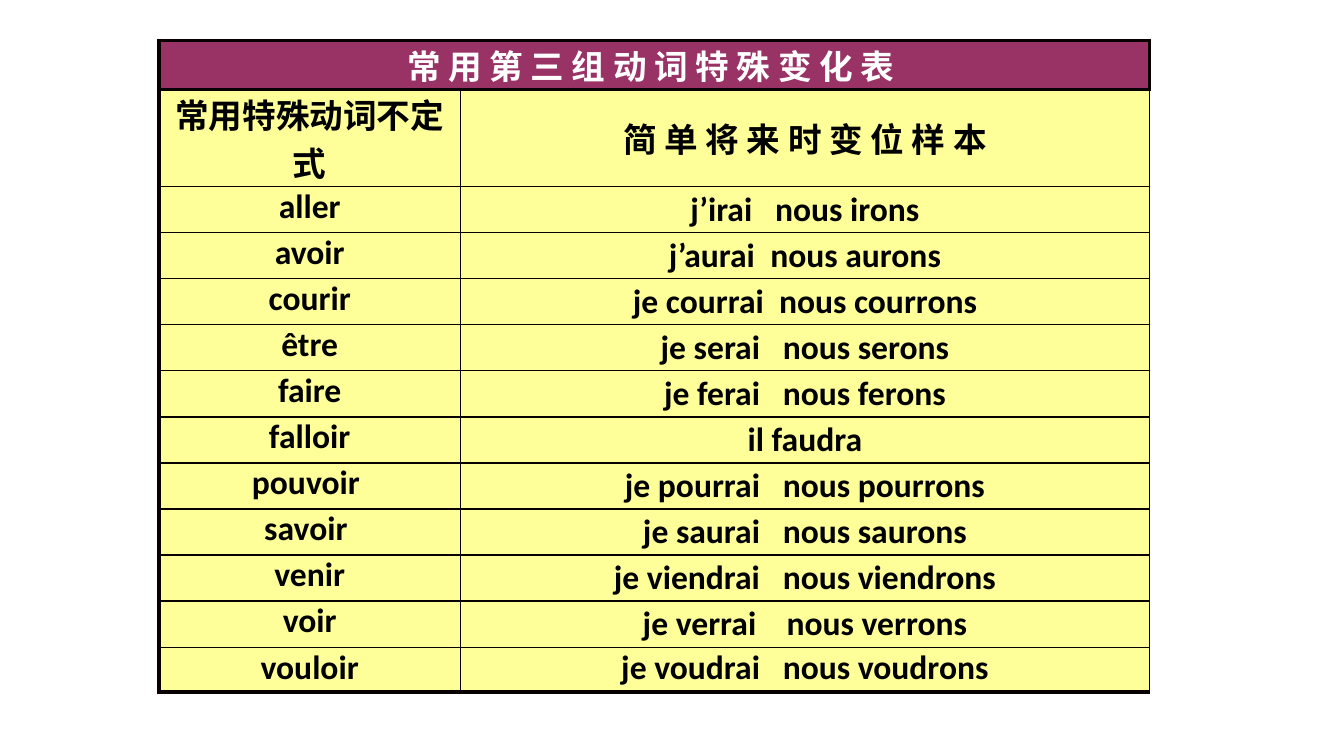
"""Build a slide with a table of irregular French future-tense verbs."""
from dataclasses import dataclass

from lxml.etree import SubElement
from pptx import Presentation
from pptx.dml.color import RGBColor
from pptx.enum.text import MSO_ANCHOR, PP_ALIGN
from pptx.oxml.ns import qn
from pptx.table import _Cell
from pptx.util import Cm, Pt

LATIN, CHINESE = "Calibri", "Noto Sans CJK SC"
PLUM, CREAM, WHITE, BLACK, EDGE = "993366", "FFFF99", "FFFFFF", "000000", "080000"
THICK, MEDIUM, THIN, HAIR = 3, 2.25, 1, 0.75
SPACE_WIDTH = 5.4


@dataclass(frozen=True)
class Verb:
    infinitive: str
    singular: str
    plural: str = ""
    spaces: int = 3


@dataclass(frozen=True)
class Border:
    left: float = THIN
    right: float = THIN
    top: float = THIN
    bottom: float = THIN
    right_color: str = EDGE


@dataclass(frozen=True)
class Look:
    border: Border
    font: str = LATIN
    ink: str = BLACK
    fill: str = CREAM
    anchor: MSO_ANCHOR = MSO_ANCHOR.TOP


VERBS = [
    Verb("aller", "j’irai", "nous irons"),
    Verb("avoir", "j’aurai", "nous aurons", 2),
    Verb("courir", "je courrai", "nous courrons", 2),
    Verb("être", "je serai", "nous serons"),
    Verb("faire", "je ferai", "nous ferons"),
    Verb("falloir", "il faudra"),
    Verb("pouvoir ", "je pourrai", "nous pourrons"),
    Verb("savoir ", "je saurai", "nous saurons"),
    Verb("venir", "je viendrai", "nous viendrons"),
    Verb("voir", "je verrai", "nous verrons", 4),
    Verb("vouloir", "je voudrai", "nous voudrons"),
]


def rgb(value: str) -> RGBColor:
    return RGBColor.from_string(value)


def draw_border(cell: _Cell, border: Border) -> None:
    properties = cell._tc.get_or_add_tcPr()
    sides = [
        ("a:lnL", border.left, EDGE),
        ("a:lnR", border.right, border.right_color),
        ("a:lnT", border.top, EDGE),
        ("a:lnB", border.bottom, EDGE),
    ]
    for tag, width, color in sides:
        line = SubElement(properties, qn(tag), w=str(int(Pt(width))))
        solid = SubElement(line, qn("a:solidFill"))
        SubElement(solid, qn("a:srgbClr"), val=color)


def style_cell(cell: _Cell, look: Look) -> None:
    draw_border(cell, look.border)
    cell.fill.solid()
    cell.fill.fore_color.rgb = rgb(look.fill)
    cell.vertical_anchor = look.anchor
    cell.margin_left = cell.margin_right = cell.margin_top = cell.margin_bottom = 0
    paragraph = cell.text_frame.paragraphs[0]
    paragraph.alignment = PP_ALIGN.CENTER
    font = paragraph.font
    font.size, font.bold, font.name = Pt(24), True, look.font
    font.color.rgb = rgb(look.ink)
    SubElement(font._element, qn("a:ea"), typeface=look.font)


def write_forms(cell: _Cell, verb: Verb) -> None:
    paragraph = cell.text_frame.paragraphs[0]
    paragraph.add_run().text = verb.singular
    if verb.plural:
        gap = paragraph.add_run()
        gap.text = " "
        widening = round((verb.spaces - 1) * SPACE_WIDTH * 100)
        gap.font._element.set("spc", str(widening))
        paragraph.add_run().text = verb.plural


def main() -> None:
    presentation = Presentation()
    presentation.slide_width, presentation.slide_height = Cm(33.87), Cm(19.05)
    slide = presentation.slides.add_slide(presentation.slide_layouts[6])
    heights = [1.14, 2.29] + [1.16] * (len(VERBS) - 1) + [1.14]
    widths = [7.59, 17.37]
    conjugation = slide.shapes.add_table(
        len(heights), len(widths), Cm(4.01), Cm(1.02), Cm(sum(widths)), Cm(sum(heights))
    ).table
    conjugation.first_row = conjugation.horz_banding = False
    for column, width in zip(conjugation.columns, widths):
        column.width = Cm(width)
    for row, height in zip(conjugation.rows, heights):
        row.height = Cm(height)

    title = conjugation.cell(0, 0)
    title.merge(conjugation.cell(0, 1))
    title.text = "常 用 第 三 组 动 词 特 殊 变 化 表 "
    title_look = Look(Border(THICK, THICK, THICK, MEDIUM), CHINESE, WHITE, PLUM)
    for column in range(len(widths)):
        style_cell(conjugation.cell(0, column), title_look)

    headings = ["常用特殊动词不定式", "简 单 将 来 时 变 位 样 本"]
    for column, heading in enumerate(headings):
        conjugation.cell(1, column).text = heading

    for row, verb in enumerate(VERBS, start=2):
        conjugation.cell(row, 0).text = verb.infinitive
        write_forms(conjugation.cell(row, 1), verb)

    last = len(heights) - 1
    for row in range(1, len(heights)):
        top = MEDIUM if row == 1 else THIN
        bottom = THICK if row == last else THIN
        font = CHINESE if row == 1 else LATIN
        anchor = MSO_ANCHOR.TOP if row == last else MSO_ANCHOR.MIDDLE
        infinitive_border = Border(left=THICK, top=top, bottom=bottom)
        form_border = Border(right=HAIR, top=top, bottom=bottom, right_color=BLACK)
        style_cell(conjugation.cell(row, 0), Look(infinitive_border, font))
        style_cell(conjugation.cell(row, 1), Look(form_border, font, anchor=anchor))

    presentation.save("out.pptx")


if __name__ == "__main__":
    main()
